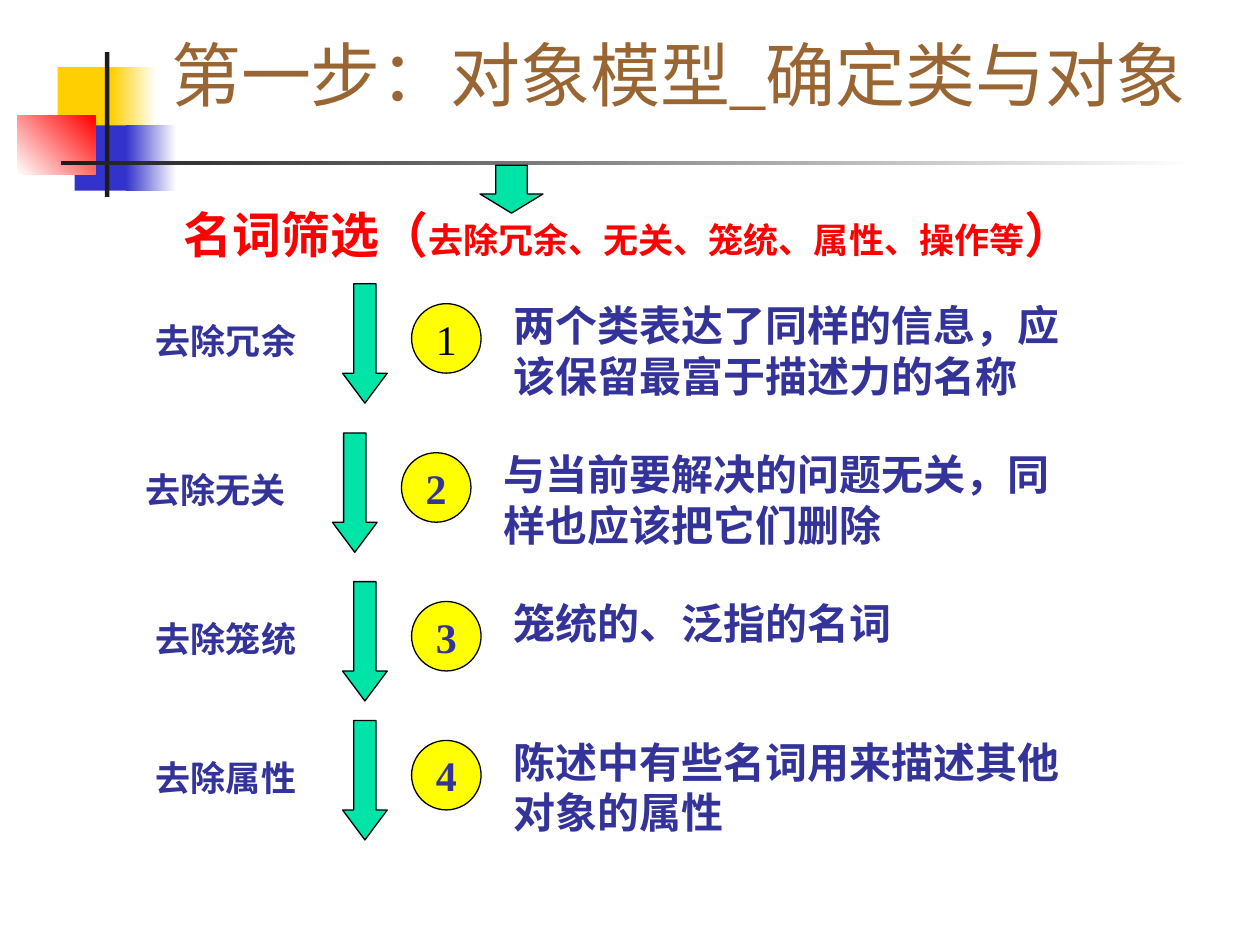
from pptx import Presentation
from pptx.dml.color import RGBColor
from pptx.enum.shapes import MSO_SHAPE as Shape
from pptx.enum.text import MSO_ANCHOR as Anchor, PP_ALIGN as Align
from pptx.util import Pt

FONT = "Times New Roman"
BLACK, WHITE, DARK = "000000", "FFFFFF", "1C1C1C"
GOLD, BLUE, RED = "FFCF01", "3333CC", "FF0000"
GREEN, YELLOW, NAVY, BROWN = "00E4A8", "FFFF00", "333399", "996633"

STEPS = [
    ("去除冗余", "两个类表达了同样的信息，应该保留最富于描述力的名称"),
    ("去除无关", "与当前要解决的问题无关，同样也应该把它们删除"),
    ("去除笼统", "笼统的、泛指的名词"),
    ("去除属性", "陈述中有些名词用来描述其他对象的属性"),
]
# Left and top of each step
SPOTS = [(82, 162.2), (76.2, 247.4), (82, 332.4), (82, 411.8)]


def color(code):
    return RGBColor.from_string(code)


def draw(parts, kind, box, fill, line=None):
    shape = parts.add_shape(kind, *[Pt(n) for n in box])
    shape.shadow.inherit = False
    shape.fill.solid()
    shape.fill.fore_color.rgb = color(fill)
    if line:
        shape.line.color.rgb = color(line)
        shape.line.width = Pt(0.75)
    else:
        shape.line.fill.background()
    return shape


def fade(parts, box, start, end, angle=0):
    shape = draw(parts, Shape.RECTANGLE, box, start)
    shape.fill.gradient()
    shape.fill.gradient_angle = angle
    for stop, code in zip(shape.fill.gradient_stops, (start, end)):
        stop.color.rgb = color(code)


def arrow(parts, box, head):
    shape = draw(parts, Shape.DOWN_ARROW, box, GREEN, BLACK)
    shape.adjustments[0] = 0.5
    shape.adjustments[1] = head


def style(run, size, code, bold):
    run.font.name = FONT
    run.font.size = Pt(size)
    run.font.bold = bold
    run.font.color.rgb = color(code)


def write(parts, box, pieces, code, bold=True, anchor=Anchor.TOP):
    frame = parts.add_textbox(*[Pt(n) for n in box]).text_frame
    frame.word_wrap = True
    frame.vertical_anchor = anchor
    for text, size in pieces:
        run = frame.paragraphs[0].add_run()
        run.text = text
        style(run, size, code, bold)


def add_decor(parts, x, y):
    # Coloured squares
    draw(parts, Shape.RECTANGLE, (x + 23, y + 8.6, 34.6, 37.4), GOLD)
    fade(parts, (x + 53.3, y + 8.6, 26, 37.4), GOLD, WHITE)
    draw(parts, Shape.RECTANGLE, (x + 32.6, y + 41.8, 33, 37.4), BLUE)
    fade(parts, (x + 62, y + 41.8, 28.6, 37.4), BLUE, WHITE)
    fade(parts, (x, y + 36.3, 44.4, 33.4), WHITE, RED, 45)
    # Crossing rules
    draw(parts, Shape.RECTANGLE, (x + 50, y, 2.5, 82.8), DARK)
    fade(parts, (x + 24.7, y + 62.3, 648, 2.3), DARK, WHITE)


def add_head(parts, x, y):
    group = parts.add_group_shape().shapes
    arrow(group, (x + 176.4, y, 36, 27.4), 0.4)
    pieces = [("名词筛选（", 28), ("去除冗余、无关、笼统、属性、操作等", 20), ("）", 28)]
    write(group, (x, y + 18.7, 588.2, 41), pieces, RED)


def add_step(parts, x, y, number, label, detail):
    group = parts.add_group_shape().shapes
    arrow(group, (x + 113.8, y, 25.5, 68.2), 0.67)
    write(group, (x, y + 17, 193, 31.7), [(label, 20)], NAVY)
    write(group, (x + 204.6, y + 5.5, 334.8, 64.8), [(detail, 24)], NAVY)
    # Number disc
    disc = draw(group, Shape.OVAL, (x + 153.2, y + 11.3, 39.7, 39.7), YELLOW, BLACK)
    frame = disc.text_frame
    frame.word_wrap = False
    frame.vertical_anchor = Anchor.MIDDLE
    frame.text = str(number)
    frame.paragraphs[0].alignment = Align.CENTER
    first = number == 1
    style(frame.paragraphs[0].runs[0], 24, BLACK if first else NAVY, not first)


def main():
    deck = Presentation()
    deck.slide_width, deck.slide_height = Pt(720), Pt(540)
    parts = deck.slides.add_slide(deck.slide_layouts[6]).shapes
    add_decor(parts, 10, 29.8)
    add_head(parts, 97.9, 94.4)
    # Title
    title = [("第一步：对象模型_确定类与对象", 40)]
    write(parts, (90.7, 15.1, 613.4, 54.7), title, BROWN, False, Anchor.BOTTOM)
    # Screening steps
    for number, (spot, step) in enumerate(zip(SPOTS, STEPS), 1):
        add_step(parts, *spot, number, *step)
    deck.save("out.pptx")


if __name__ == "__main__":
    main()
